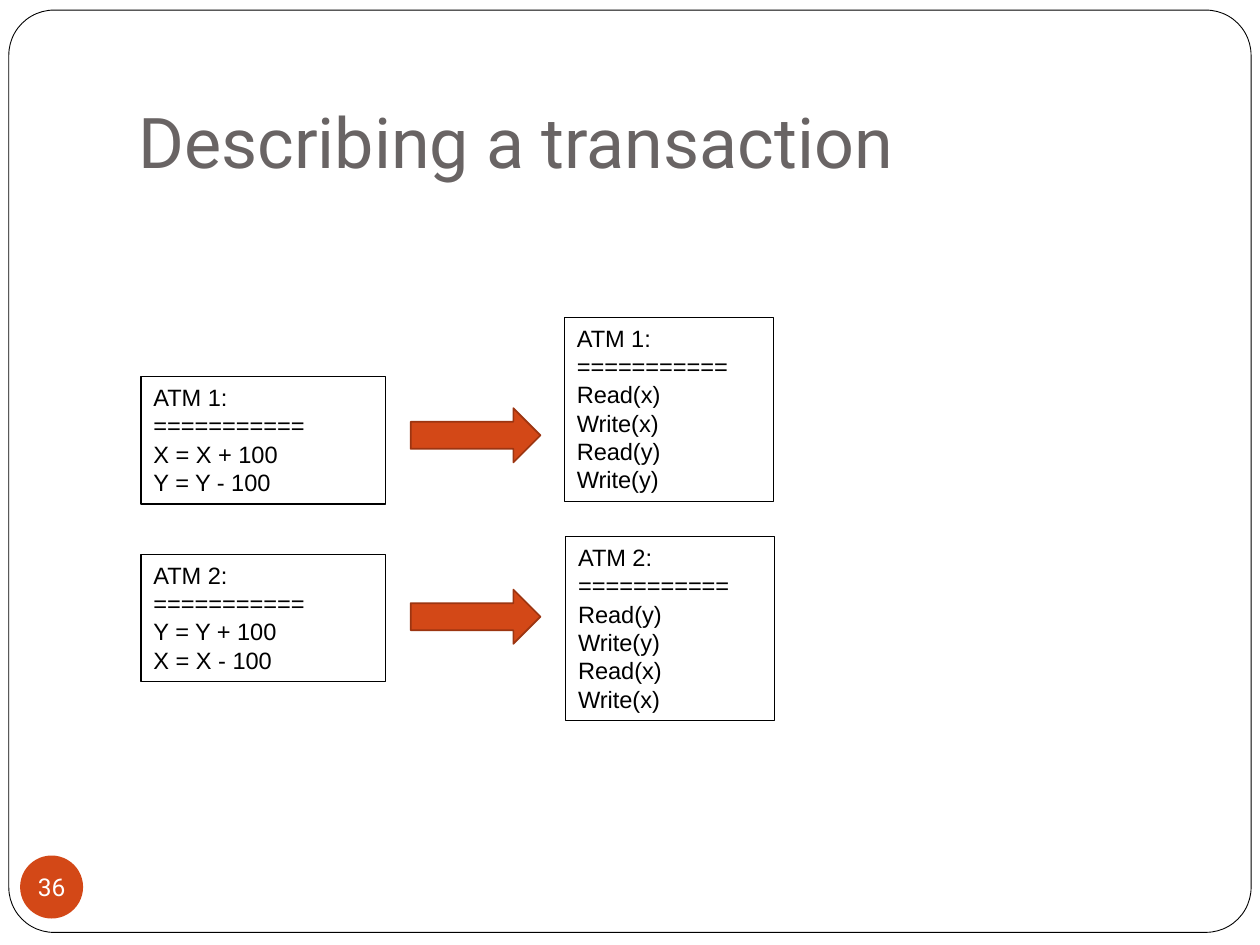
from pptx import Presentation
from pptx.dml.color import RGBColor
from pptx.enum.shapes import MSO_SHAPE
from pptx.enum.text import MSO_ANCHOR, MSO_AUTO_SIZE, PP_ALIGN
from pptx.util import Inches, Pt

FRAME, OVAL = MSO_SHAPE.ROUNDED_RECTANGLE, MSO_SHAPE.OVAL
RECT, ARROW = MSO_SHAPE.RECTANGLE, MSO_SHAPE.RIGHT_ARROW
LEFT, CENTER = PP_ALIGN.LEFT, PP_ALIGN.CENTER
TOP, MIDDLE, BOTTOM = MSO_ANCHOR.TOP, MSO_ANCHOR.MIDDLE, MSO_ANCHOR.BOTTOM
GROW, FIXED = MSO_AUTO_SIZE.SHAPE_TO_FIT_TEXT, MSO_AUTO_SIZE.NONE
RUST = "D34817"

prs = Presentation()
prs.slide_width, prs.slide_height = Inches(10), Inches(7.5)
slide = prs.slides.add_slide(prs.slide_layouts[5])


def add_shape(kind, box, fill=None, line=None, width=0.75):
    shape = slide.shapes.add_shape(kind, *map(Inches, box))
    shape.shadow.inherit = False
    if fill:
        shape.fill.solid()
        shape.fill.fore_color.rgb = RGBColor.from_string(fill)
    else:
        shape.fill.background()
    if line:
        shape.line.color.rgb = RGBColor.from_string(line)
        shape.line.width = Pt(width)
    else:
        shape.line.fill.background()
    return shape


def write(shape, lines, font, size, color, align=LEFT, anchor=TOP):
    frame = shape.text_frame
    frame.vertical_anchor = anchor
    for i, line in enumerate(lines):
        para = frame.add_paragraph() if i else frame.paragraphs[0]
        para.alignment = align
        run = para.add_run()
        run.text = line
        run.font.name, run.font.size = font, Pt(size)
        run.font.color.rgb = RGBColor.from_string(color)
    return frame


# Page frame, behind the title
border = add_shape(FRAME, (0.07, 0.08, 9.86, 7.32), "FFFFFF", "000000", 0.5)
border.adjustments[0] = 0.049
slide.shapes._spTree.insert(2, border._element)

title = slide.shapes.title
title.left, title.top = Inches(1), Inches(0.3)
title.width, title.height = Inches(8.5), Inches(1.25)
frame = write(title, ["Describing a transaction"], "Roboto", 40, "696464",
              anchor=BOTTOM)
frame.auto_size = FIXED
frame.margin_bottom = Inches(0.1)

# Page number
badge = add_shape(OVAL, (0.16, 6.79, 0.5, 0.5), RUST)
frame = write(badge, ["36"], "Roboto", 14, "FFFFFF", CENTER, MIDDLE)
frame.word_wrap = False
frame.margin_left = frame.margin_right = 0
frame.margin_top = frame.margin_bottom = 0

# Each machine's sums, and the reads and writes they become
boxes = [
    ("ATM 1:", (1.12, 2.99, 1.94, 1.01), ["X = X + 100", "Y = Y - 100"]),
    ("ATM 2:", (1.12, 4.4, 1.94, 1.01), ["Y = Y + 100", "X = X - 100"]),
    ("ATM 1:", (4.48, 2.52, 1.66, 1.46),
     ["Read(x)", "Write(x)", "Read(y)", "Write(y)"]),
    ("ATM 2:", (4.49, 4.26, 1.66, 1.46),
     ["Read(y)", "Write(y)", "Read(x)", "Write(x)"]),
]
for name, box, steps in boxes:
    card = add_shape(RECT, box, line="000000")
    frame = write(card, [name, "===========", *steps], "Arial", 13.5, "000000")
    frame.word_wrap = True
    frame.auto_size = GROW

for top in (3.24, 4.68):
    add_shape(ARROW, (3.26, top, 1.03, 0.43), RUST, "9C3511", 1)

prs.save("out.pptx")
